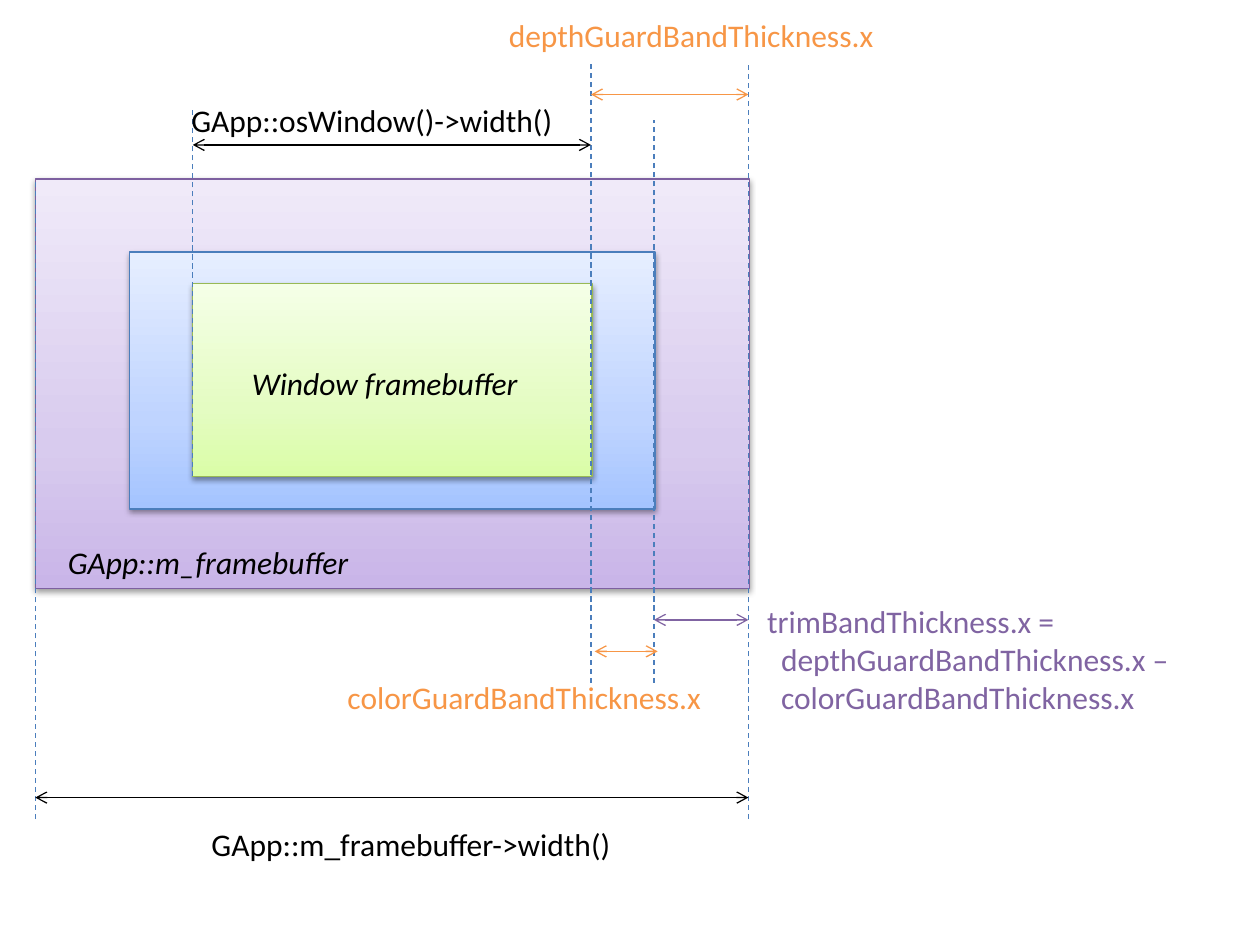
from lxml.etree import SubElement
from pptx import Presentation
from pptx.dml.color import RGBColor as Rgb
from pptx.enum.dml import MSO_LINE_DASH_STYLE as Dash
from pptx.enum.shapes import MSO_CONNECTOR as Connector, MSO_SHAPE as Shape
from pptx.enum.text import MSO_AUTO_SIZE as AutoSize
from pptx.oxml.ns import qn
from pptx.util import Inches, Pt

COLORS = {
    "black": "000000", "orange": "F79646", "purple": "8064A2", "guide": "4B7EBC",
    "frame_line": "7D60A0", "color_line": "4B7EBC", "window_line": "98B955",
}
GRADIENTS = {
    "frame": ("C9B5E8", "D8CBEE", "F0EAF9"),
    "color": ("A4C4FF", "BFD4FF", "E6EEFF"),
    "window": ("DAFDA7", "E4FCC2", "F5FFE7"),
}
STOPS = (0, 35, 100)
COLUMNS, ROWS = 10, 7.5


class Diagram:
    """Draws framebuffer diagram elements on a grid of 10 columns by 7.5 rows."""

    font, size, weight = "Calibri", Pt(18), Pt(0.75)

    def __init__(self, deck):
        self.page = deck.slides.add_slide(deck.slide_layouts[6])
        self.column = deck.slide_width / COLUMNS
        self.row = deck.slide_height / ROWS

    def cells(self, *lengths):
        units = (self.column, self.row) * 2
        return [round(length * unit) for length, unit in zip(lengths, units)]

    def stroke(self, line, color):
        line.color.rgb = Rgb.from_string(COLORS[color])
        line.width = self.weight

    def add_color(self, parent, value):
        return SubElement(parent, qn("a:srgbClr"), val=value)

    def buffer(self, name, left, top, width, height):
        box = self.page.shapes.add_shape(
            Shape.RECTANGLE, *self.cells(left, top, width, height))
        box.fill.gradient()
        box.fill.gradient_angle = 90
        properties = box._element.spPr
        stops = properties.find(qn("a:gradFill")).find(qn("a:gsLst"))
        for stop in list(stops):
            stops.remove(stop)
        for position, value in zip(STOPS, GRADIENTS[name]):
            self.add_color(SubElement(stops, qn("a:gs"), pos=str(position * 1000)), value)
        self.stroke(box.line, f"{name}_line")
        effects = SubElement(properties, qn("a:effectLst"))
        shadow = SubElement(effects, qn("a:outerShdw"), blurRad="40000", dist="20000",
                            dir="5400000", rotWithShape="0")
        SubElement(self.add_color(shadow, COLORS["black"]), qn("a:alpha"), val="38000")

    def line(self, start, end, color):
        line = self.page.shapes.add_connector(
            Connector.STRAIGHT, *self.cells(*start, *end))
        self.stroke(line.line, color)
        SubElement(line._element.spPr, qn("a:effectLst"))
        return line

    def guide(self, x, bottom, top):
        self.line((x, bottom), (x, top), "guide").line.dash_style = Dash.DASH

    def dimension(self, left, right, y, color):
        arrow = self.line((left, y), (right, y), color)
        outline = arrow._element.spPr.find(qn("a:ln"))
        for end in ("a:headEnd", "a:tailEnd"):
            SubElement(outline, qn(end), type="arrow")

    def label(self, lines, left, top, width, height=0.4, color="black",
              italic=False, wrap=False):
        box = self.page.shapes.add_textbox(*self.cells(left, top, width, height))
        frame = box.text_frame
        frame.word_wrap = wrap
        frame.auto_size = AutoSize.SHAPE_TO_FIT_TEXT
        for index, text in enumerate(lines):
            para = frame.add_paragraph() if index else frame.paragraphs[0]
            if index:
                para._p.get_or_add_pPr().set("marL", str(Inches(0.11)))
            span = para.add_run()
            span.text = text
            span.font.name, span.font.size = self.font, self.size
            span.font.italic = italic
            span.font.color.rgb = Rgb.from_string(COLORS[color])


def main():
    deck = Presentation()
    deck.slide_width, deck.slide_height = Inches(10), Inches(7.5)
    diagram = Diagram(deck)

    frame_left, window_left = 0.28, 1.53
    window_right, color_right, frame_right = 4.69, 5.19, 5.94

    diagram.buffer("frame", frame_left, 1.42, 5.67, 3.25)
    diagram.buffer("color", 1.03, 2, 4.17, 2.04)
    diagram.buffer("window", window_left, 2.25, 3.17, 1.53)

    for x, bottom, top in (
        (window_right, 5.42, 0.5),
        (color_right, 5.42, 0.95),
        (frame_right, 6.5, 0.5),
        (frame_left, 6.5, 1.42),
        (window_left, 3.78, 0.85),
    ):
        diagram.guide(x, bottom, top)

    for left, right, y, color in (
        (window_right, frame_right, 0.75, "orange"),
        (color_right, frame_right, 4.92, "purple"),
        (frame_left, frame_right, 6.33, "black"),
        (window_left, window_right, 1.15, "black"),
        (4.72, 5.22, 5.17, "orange"),
    ):
        diagram.dimension(left, right, y, color)

    diagram.label(["depthGuardBandThickness.x"], 3.94, 0.08, 3.13, color="orange")
    diagram.label(["colorGuardBandThickness.x"], 2.66, 5.33, 3.04, color="orange")
    diagram.label(["GApp::m_framebuffer->width()"], 1.58, 6.5, 3.39)
    diagram.label(["GApp::osWindow()->width()"], 1.42, 0.75, 3.1)
    diagram.label(["GApp::m_framebuffer"], 0.44, 4.26, 2.47, italic=True)
    diagram.label(["Window framebuffer"], 1.9, 2.84, 2.36, italic=True)
    diagram.label(
        ["trimBandThickness.x =", "depthGuardBandThickness.x –",
         "colorGuardBandThickness.x"],
        5.99, 4.73, 3.79, 1.01, color="purple", wrap=True)

    deck.save("out.pptx")


if __name__ == "__main__":
    main()
